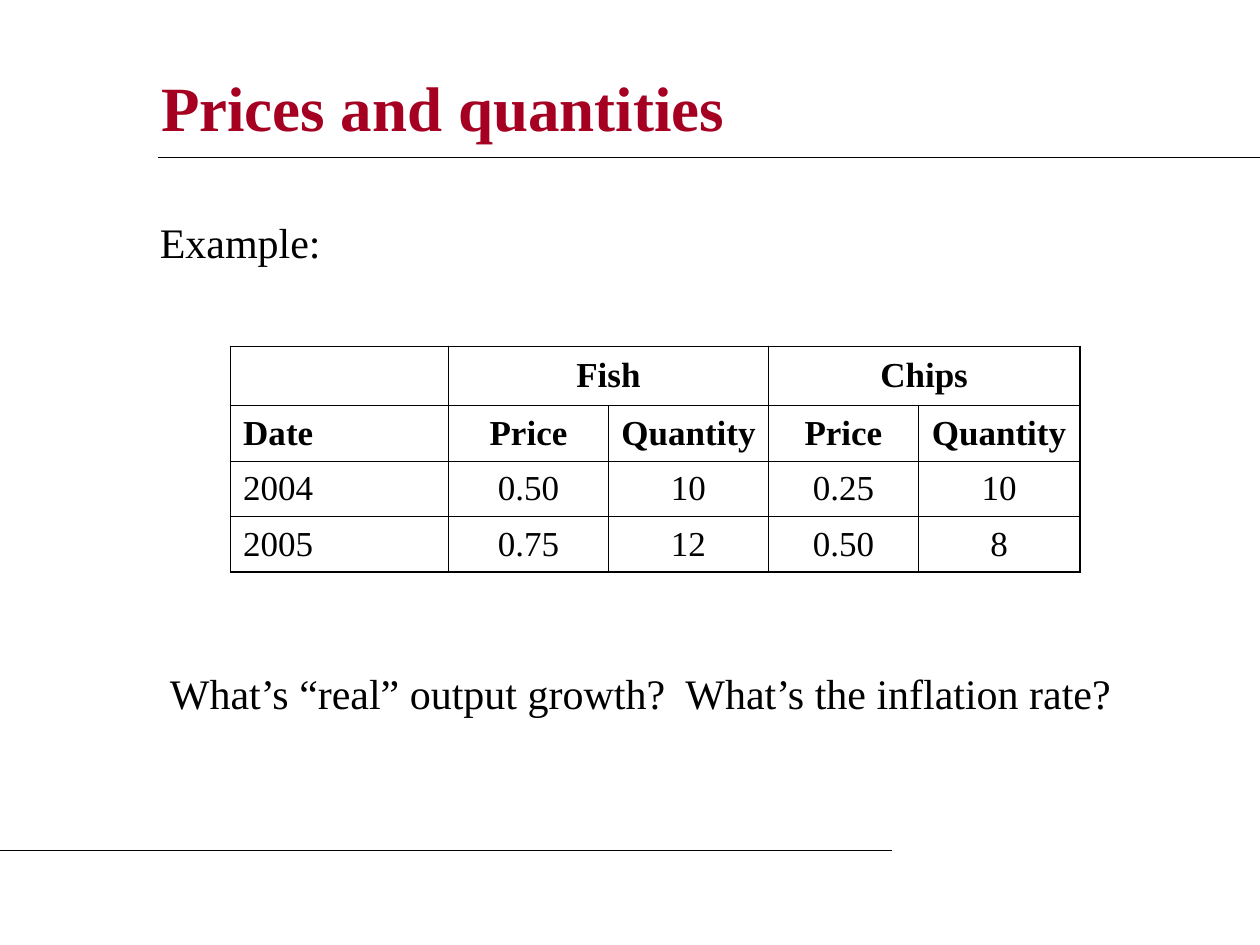
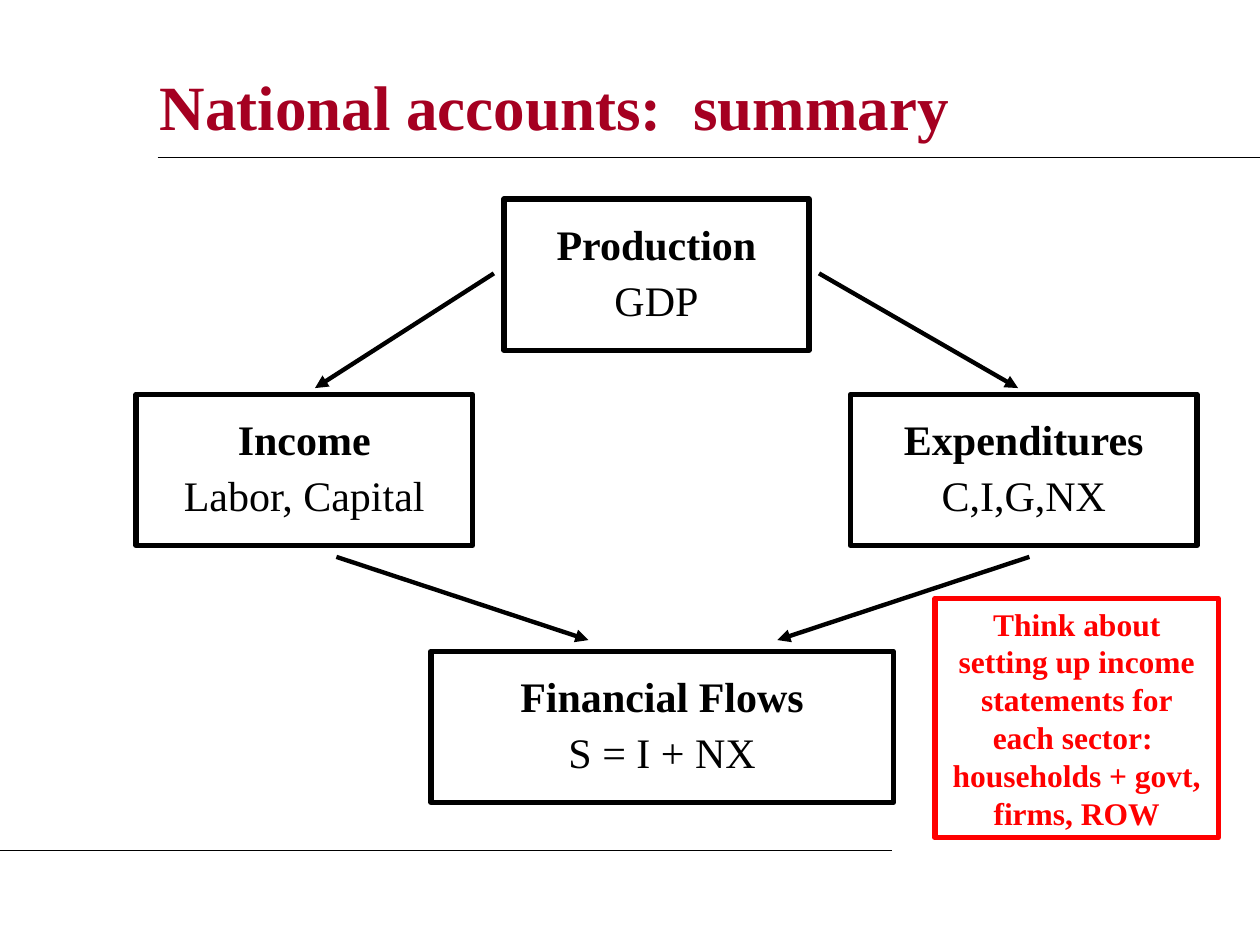
from lxml.etree import SubElement
from pptx import Presentation
from pptx.dml.color import RGBColor
from pptx.enum.shapes import MSO_CONNECTOR, MSO_SHAPE
from pptx.enum.text import MSO_ANCHOR, PP_ALIGN
from pptx.oxml.ns import qn
from pptx.util import Pt

PX = 9144  # EMU per px, 100 px to the inch
FONT = "Times New Roman"
BLACK, WHITE, CRIMSON, RED = "000000", "FFFFFF", "A50021", "FF0000"
rgb = RGBColor.from_string


def write(p, text, size=24, color=BLACK, bold=False, align=PP_ALIGN.LEFT):
    p.alignment = align
    r = p.add_run()
    r.text = text
    r.font.name = FONT
    r.font.size = Pt(size)
    r.font.bold = bold
    r.font.color.rgb = rgb(color)


def add_line(slide, x1, y1, x2, y2, width=0.75, arrow=False):
    """Draw a straight line; an arrow points at (x2, y2)."""
    line = slide.shapes.add_connector(
        MSO_CONNECTOR.STRAIGHT, x1 * PX, y1 * PX, x2 * PX, y2 * PX)
    line.line.color.rgb = rgb(BLACK)
    line.line.width = Pt(width)
    if arrow:
        SubElement(line.line._get_or_add_ln(), qn("a:tailEnd"), type="triangle")
    SubElement(line._element.spPr, qn("a:effectLst"))


prs = Presentation()
prs.slide_width, prs.slide_height = 1000 * PX, 750 * PX

# Shared title and rules
slides = []
for title, x, y, h in [
    ("Prices and quantities", 118, 47, 75),
    ("National accounts:  summary", 117, 42, 83),
]:
    slide = prs.slides.add_slide(prs.slide_layouts[6])
    tf = slide.shapes.add_textbox(x * PX, y * PX, 808 * PX, h * PX).text_frame
    tf.word_wrap = True
    tf.vertical_anchor = MSO_ANCHOR.MIDDLE
    write(tf.paragraphs[0], title, size=36, color=CRIMSON, bold=True)
    add_line(slide, 125, 125, 1000, 125)
    add_line(slide, 0, 675, 708, 675)
    slides.append(slide)
prices, accounts = slides

# Prices and quantities: table
rows = [
    ["", "Fish", "", "Chips", ""],
    ["Date", "Price", "Quantity", "Price", "Quantity"],
    ["2004", "0.50", "10", "0.25", "10"],
    ["2005", "0.75", "12", "0.50", "8"],
]
col_widths = [173, 127, 127, 119, 128]
row_heights = [47, 44, 44, 44]
n_rows, n_cols = len(rows), len(col_widths)
table = prices.shapes.add_table(
    n_rows, n_cols, 183 * PX, 275 * PX,
    sum(col_widths) * PX, sum(row_heights) * PX).table
table.first_row = table.horz_banding = False
for col, w in zip(table.columns, col_widths):
    col.width = w * PX
for row, h in zip(table.rows, row_heights):
    row.height = h * PX
for c in (1, 3):
    table.cell(0, c).merge(table.cell(0, c + 1))

for i, row in enumerate(rows):
    for j, text in enumerate(row):
        cell = table.cell(i, j)
        cell.vertical_anchor = MSO_ANCHOR.MIDDLE
        if text:
            write(cell.text_frame.paragraphs[0], text, size=20, bold=i < 2,
                  align=PP_ALIGN.CENTER if j else PP_ALIGN.LEFT)
        span = cell.span_width if cell.is_merge_origin else 1
        outer_edges = {"lnL": j == 0, "lnR": j + span == n_cols,
                       "lnT": i == 0, "lnB": i == n_rows - 1}
        tcPr = cell._tc.get_or_add_tcPr()
        for edge, outer in outer_edges.items():
            ln = SubElement(tcPr, qn(f"a:{edge}"), w=str(Pt(1.08 if outer else 0.45)))
            SubElement(SubElement(ln, qn("a:solidFill")), qn("a:srgbClr"), val=BLACK)
        cell.fill.background()

# Prices and quantities: text around the table
for text, x, y, w in [
    ("Example:", 117, 167, 408),
    ("What’s “real” output growth?  What’s the inflation rate?", 125, 525, 808),
]:
    tf = prices.shapes.add_textbox(x * PX, y * PX, w * PX, 50 * PX).text_frame
    tf.word_wrap = True
    write(tf.paragraphs[0], text)

# National accounts: flows, then boxes
for ends in [
    (650, 217, 808, 308),
    (392, 217, 250, 308),
    (817, 442, 617, 508),
    (267, 442, 467, 508),
]:
    add_line(accounts, *ends, width=2.5, arrow=True)

note = ("Think about setting up income statements for each sector:  "
        "households + govt, firms, ROW")
for lines, x, y, w, h, color in [
    (["Production", "GDP"], 400, 158, 242, 120, BLACK),
    (["Expenditures", "C,I,G,NX"], 675, 313, 275, 120, BLACK),
    (["Income", "Labor, Capital"], 108, 313, 267, 120, BLACK),
    (["Financial Flows", "S = I + NX"], 342, 517, 367, 120, BLACK),
    ([note], 742, 475, 225, 190, RED),
]:
    is_note = color == RED
    sp = accounts.shapes.add_shape(
        MSO_SHAPE.RECTANGLE, x * PX, y * PX, w * PX, h * PX)
    sp.shadow.inherit = False
    sp.line.color.rgb = rgb(color)
    sp.line.width = Pt(3)
    if is_note:
        sp.fill.solid()
        sp.fill.fore_color.rgb = rgb(WHITE)
    else:
        sp.fill.background()
    tf = sp.text_frame
    tf.word_wrap = True
    tf.vertical_anchor = MSO_ANCHOR.TOP
    if not is_note:
        tf.margin_left = tf.margin_right = 20 * PX
        tf.margin_top = tf.margin_bottom = 20 * PX
    for i, text in enumerate(lines):
        p = tf.add_paragraph() if i else tf.paragraphs[0]
        if not is_note:
            p.line_spacing = 0.9
        if i:
            p.space_before = Pt(6)
        write(p, text, size=18 if is_note else 24, color=color,
              bold=i == 0, align=PP_ALIGN.CENTER)

prs.save("out.pptx")
